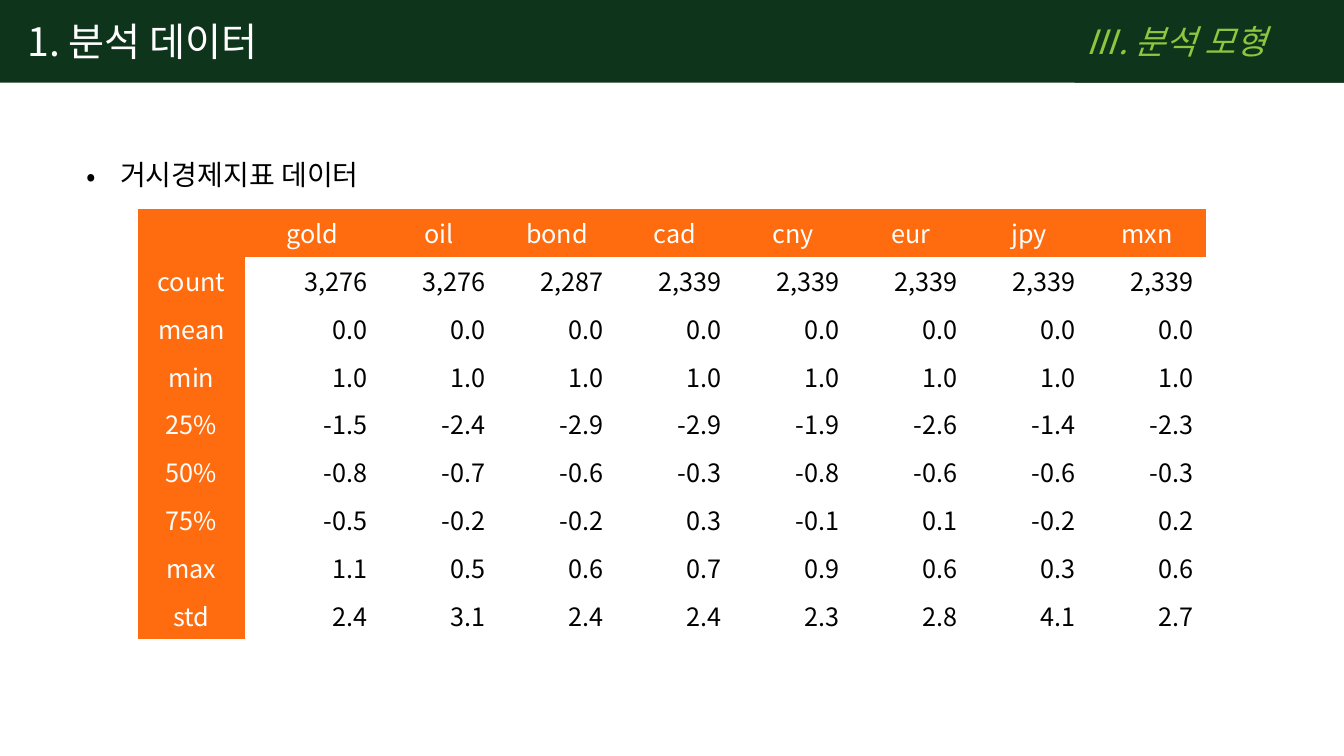
import pptx
import pptx.dml.color
import pptx.enum.shapes
import pptx.enum.text
import pptx.oxml
import pptx.oxml.ns
import pptx.util

Pt = pptx.util.Pt
RGBColor = pptx.dml.color.RGBColor
ALIGN = pptx.enum.text.PP_ALIGN
MIDDLE = pptx.enum.text.MSO_ANCHOR.MIDDLE
qn = pptx.oxml.ns.qn

GREEN = RGBColor(0x0E, 0x34, 0x1B)
LIME = RGBColor(0x8D, 0xC6, 0x3F)
ORANGE = RGBColor(0xFF, 0x6C, 0x0F)
WHITE = RGBColor(0xFF, 0xFF, 0xFF)
BLACK = RGBColor(0, 0, 0)
FONT = "Noto Sans CJK KR"
NO_STYLE_NO_GRID = "{2D5ABB26-0587-4C30-8999-92F81FD0307C}"

SLIDE_WIDTH, SLIDE_HEIGHT = 960, 540
INDICATORS = ["gold", "oil", "bond", "cad", "cny", "eur", "jpy", "mxn"]
STATISTICS = [
    ("count", ["3,276", "3,276", "2,287"] + ["2,339"] * 5),
    ("mean", ["0.0"] * 8),
    ("min", ["1.0"] * 8),
    ("25%", ["-1.5", "-2.4", "-2.9", "-2.9", "-1.9", "-2.6", "-1.4", "-2.3"]),
    ("50%", ["-0.8", "-0.7", "-0.6", "-0.3", "-0.8", "-0.6", "-0.6", "-0.3"]),
    ("75%", ["-0.5", "-0.2", "-0.2", "0.3", "-0.1", "0.1", "-0.2", "0.2"]),
    ("max", ["1.1", "0.5", "0.6", "0.7", "0.9", "0.6", "0.3", "0.6"]),
    ("std", ["2.4", "3.1", "2.4", "2.4", "2.3", "2.8", "4.1", "2.7"]),
]


def add_run(paragraph, text, size, color, italic=None):
    run = paragraph.add_run()
    run.text = text
    run.font.size = Pt(size)
    run.font.name = FONT
    run.font.color.rgb = color
    run.font.italic = italic
    # Hangul takes its typeface from the East Asian font entry.
    east_asian = pptx.oxml.parse_xml(
        f'<a:ea {pptx.oxml.ns.nsdecls("a")} typeface="{FONT}"/>')
    run.font.fill  # colour precedes the typefaces
    run.font._element.find(qn("a:latin")).addnext(east_asian)


def add_band(slide, box, text, size, color, inset=7.2, italic=None):
    band = slide.shapes.add_shape(
        pptx.enum.shapes.MSO_SHAPE.RECTANGLE, *map(Pt, box))
    band.shadow.inherit = False
    band.fill.solid()
    band.fill.fore_color.rgb = GREEN
    band.line.fill.background()
    frame = band.text_frame
    frame.vertical_anchor = MIDDLE
    frame.margin_left = Pt(inset)
    frame.paragraphs[0].alignment = ALIGN.LEFT
    add_run(frame.paragraphs[0], text, size, color, italic)


def add_header(slide, box):
    left, top, width, height = box
    section_width = 192.5
    add_band(slide, box, "1. 분석 데이터", 28, WHITE, inset=19.7)
    section_box = (left + width - section_width, top, section_width, height)
    add_band(slide, section_box, "Ⅲ. 분석 모형", 24, LIME, italic=True)


def add_bullet_heading(slide, box, text):
    heading = slide.shapes.add_textbox(*map(Pt, box))
    frame = heading.text_frame
    frame.word_wrap = True
    frame.auto_size = pptx.enum.text.MSO_AUTO_SIZE.SHAPE_TO_FIT_TEXT
    paragraph = frame.paragraphs[0]
    paragraph.line_spacing = 1.3
    add_run(paragraph, text, 20, BLACK)
    properties = paragraph._p.get_or_add_pPr()
    indent = Pt(24)
    properties.set("marL", str(indent))
    properties.set("indent", str(-indent))
    for bullet_part in (f'buFont %s typeface="{FONT}"', 'buChar %s char="•"'):
        properties.append(pptx.oxml.parse_xml(
            f'<a:{bullet_part % pptx.oxml.ns.nsdecls("a")}/>'))


def fill_cell(cell, text, is_label):
    cell.vertical_anchor = MIDDLE
    cell.margin_top = cell.margin_bottom = 0
    cell.margin_left = Pt(5)
    cell.margin_right = Pt(5 if is_label else 9)
    if is_label:
        cell.fill.solid()
        cell.fill.fore_color.rgb = ORANGE
    else:
        cell.fill.background()
    paragraph = cell.text_frame.paragraphs[0]
    paragraph.alignment = ALIGN.CENTER if is_label else ALIGN.RIGHT
    if text:
        add_run(paragraph, text, 18, WHITE if is_label else BLACK)


def add_statistics_table(slide, box):
    rows = [["", *INDICATORS]] + [[name, *values] for name, values in STATISTICS]
    frame = slide.shapes.add_table(len(rows), len(rows[0]), *map(Pt, box))
    table = frame.table
    table.first_row = table.horz_banding = False
    frame.element.find(".//" + qn("a:tableStyleId")).text = NO_STYLE_NO_GRID

    label_width, gold_width = 76.4, 96.5
    other_width = (box[2] - label_width - gold_width) / (len(INDICATORS) - 1)
    widths = [label_width, gold_width] + [other_width] * (len(INDICATORS) - 1)
    for column, width in zip(table.columns, widths):
        column.width = Pt(width)
    for r, row in enumerate(rows):
        table.rows[r].height = Pt(box[3] / len(rows))
        for c, text in enumerate(row):
            fill_cell(table.cell(r, c), text, is_label=r == 0 or c == 0)


def main():
    presentation = pptx.Presentation()
    presentation.slide_width = Pt(SLIDE_WIDTH)
    presentation.slide_height = Pt(SLIDE_HEIGHT)
    slide = presentation.slides.add_slide(presentation.slide_layouts[6])
    add_header(slide, (0, 0, SLIDE_WIDTH, 59))
    add_bullet_heading(slide, (54.7, 101.5, 447, 39), "거시경제지표 데이터")
    add_statistics_table(slide, (98.6, 149.2, 763, 307.2))
    presentation.save("out.pptx")


if __name__ == "__main__":
    main()
